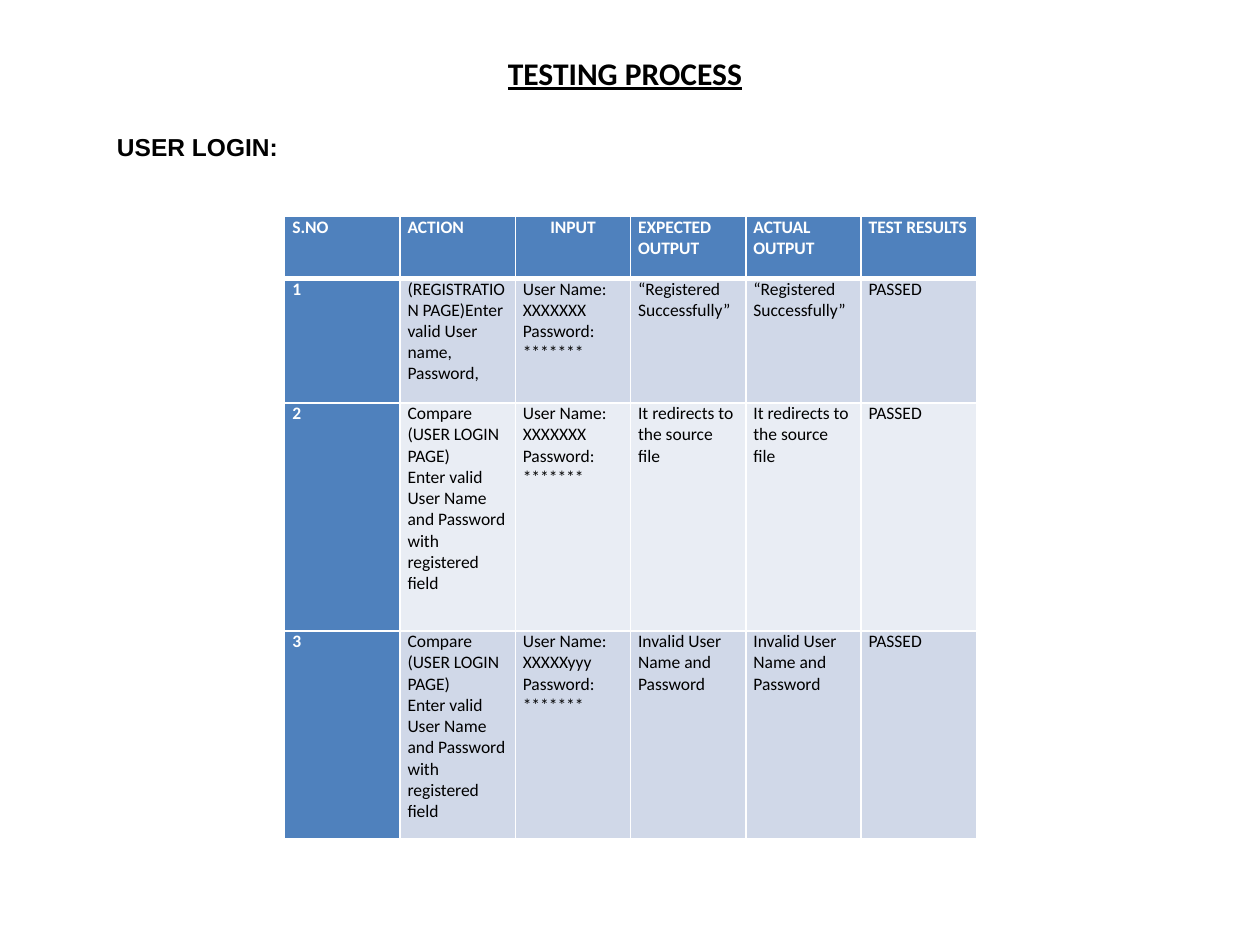
"""Build the slide with the user login test cases."""
from lxml import etree
from pptx import Presentation
from pptx import util as u
from pptx.dml.color import RGBColor
from pptx.enum import text
from pptx.oxml import ns

COLORS = {"ink": "000000", "paper": "FFFFFF", "head": "4F81BD",
          "odd": "D0D8E8", "even": "E9EDF4"}
SLIDE_WIDTH, SLIDE_HEIGHT = 10, 7.5
TABLE_LEFT, TABLE_TOP, COLUMN_WIDTH = 2.26, 1.72, 0.915
ROW_HEIGHTS = [0.49, 0.99, 1.81, 1.65]
LOGIN_PAGE = "Compare (USER LOGIN PAGE)"
LOGIN_STEP = "Enter valid User Name and Password with registered field"
REDIRECT = "It redirects to the source file"
REGISTERED = "“Registered Successfully”"
INVALID = "Invalid User Name and Password"


def credentials(user):
    """Return the lines of an input cell."""
    return ["User Name:", user, "Password:", "*******"]


ROWS = [
    [["S.NO"], ["ACTION"], ["INPUT"], ["EXPECTED OUTPUT"], ["ACTUAL OUTPUT"], ["TEST RESULTS"]],
    [["1"], ["(REGISTRATION PAGE)Enter valid User name, Password,"],
     credentials("XXXXXXX"), [REGISTERED], [REGISTERED], ["PASSED"]],
    [["2"], [LOGIN_PAGE, LOGIN_STEP], credentials("XXXXXXX"), [REDIRECT], [REDIRECT], ["PASSED"]],
    [["3"], [LOGIN_PAGE, LOGIN_STEP], credentials("XXXXXyyy"), [INVALID], [INVALID], ["PASSED"]],
]


def rgb(name):
    """Return a named colour."""
    return RGBColor.from_string(COLORS[name])


def write_lines(frame, lines, font_name, size, color, bold, underline=None, align=None):
    """Write each line as a paragraph holding one run."""
    for index, line in enumerate(lines):
        paragraph = frame.add_paragraph() if index else frame.paragraphs[0]
        paragraph.alignment = align
        run = paragraph.add_run()
        run.text = line
        run.font.name, run.font.size = font_name, u.Pt(size)
        run.font.bold, run.font.underline = bold, underline
        run.font.color.rgb = rgb(color)


def add_heading(slide, box, line, font_name, size, underline=None, align=None):
    """Add a bold one-line heading that does not wrap."""
    shape = slide.shapes.add_textbox(*(u.Inches(length) for length in box))
    shape.text_frame.word_wrap = False
    write_lines(shape.text_frame, [line], font_name, size, "ink", True, underline, align)


def set_borders(cell, widths):
    """Put a white line on each side of a cell, with widths in points."""
    properties = cell._tc.get_or_add_tcPr()
    for index, (side, width) in enumerate(widths.items()):
        line = etree.Element(ns.qn(f"a:ln{side}"), w=str(u.Pt(width)))
        fill = etree.SubElement(line, ns.qn("a:solidFill"))
        etree.SubElement(fill, ns.qn("a:srgbClr"), val=COLORS["paper"])
        properties.insert(index, line)


def fill_cell(cell, row, column, lines):
    """Style one table cell by its place and write its lines."""
    is_head = row == 0 or column == 0
    cell.margin_left = cell.margin_right = u.Inches(0.06)
    cell.margin_top = cell.margin_bottom = 0
    cell.fill.solid()
    cell.fill.fore_color.rgb = rgb("head" if is_head else "odd" if row % 2 else "even")
    set_borders(cell, {"L": 1, "R": 1, "T": 3 if row == 1 else 1, "B": 3 if row == 0 else 1})
    align = text.PP_ALIGN.CENTER if (row, column) == (0, 2) else None
    write_lines(cell.text_frame, lines, "Calibri", 10,
                "paper" if is_head else "ink", is_head, align=align)


def add_test_table(slide):
    """Add the table of test cases."""
    count = len(ROWS[0])
    table = slide.shapes.add_table(
        len(ROWS), count, u.Inches(TABLE_LEFT), u.Inches(TABLE_TOP),
        u.Inches(count * COLUMN_WIDTH), u.Inches(sum(ROW_HEIGHTS))).table
    for column in table.columns:
        column.width = u.Inches(COLUMN_WIDTH)
    for row, (height, cells) in enumerate(zip(ROW_HEIGHTS, ROWS)):
        table.rows[row].height = u.Inches(height)
        for column, lines in enumerate(cells):
            fill_cell(table.cell(row, column), row, column, lines)


def main():
    """Build and save the presentation."""
    presentation = Presentation()
    presentation.slide_width = u.Inches(SLIDE_WIDTH)
    presentation.slide_height = u.Inches(SLIDE_HEIGHT)
    slide = presentation.slides.add_slide(presentation.slide_layouts[6])
    add_test_table(slide)
    add_heading(slide, (0.83, 1, 1.49, 0.57), "USER LOGIN:", "Arial", 14)
    add_heading(slide, (3.92, 0.38, 2.08, 0.4), "TESTING PROCESS", "Calibri", 18,
                True, text.PP_ALIGN.CENTER)
    presentation.save("out.pptx")


if __name__ == "__main__":
    main()
